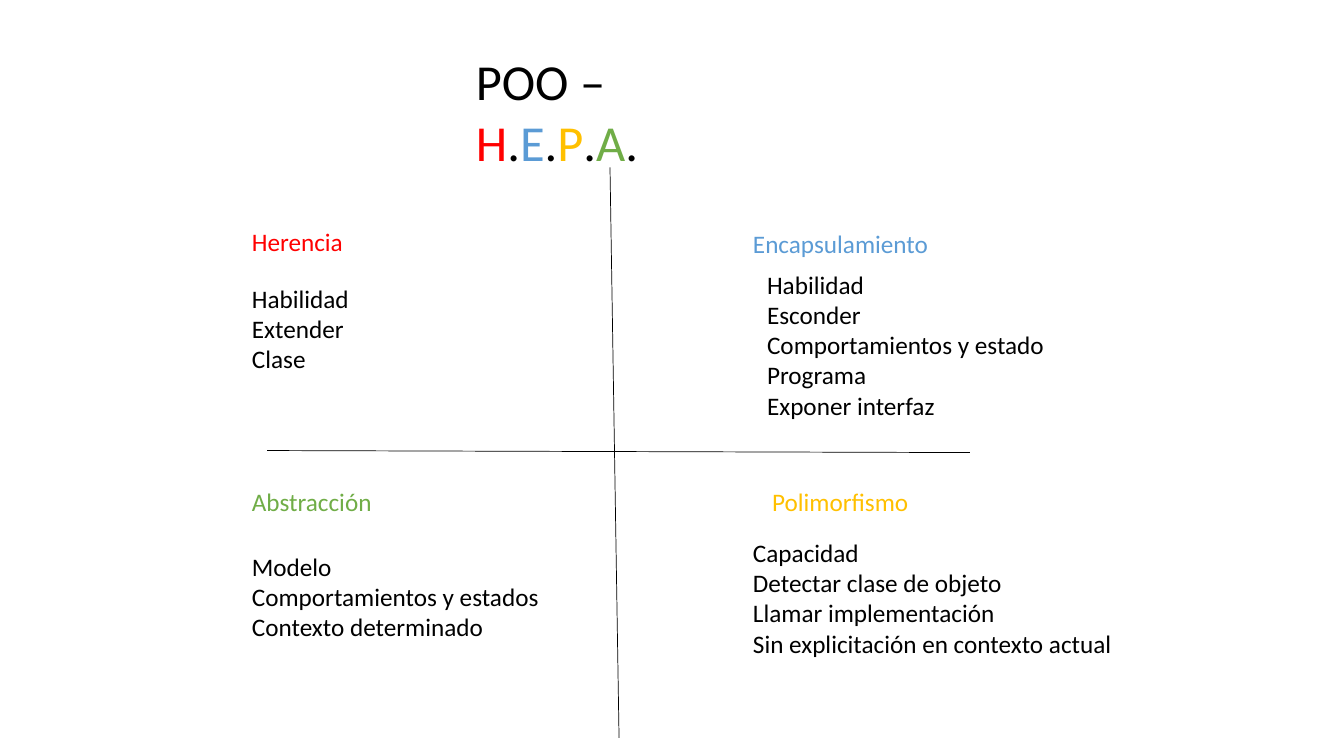
"""Build the POO – H.E.P.A. slide: four object-oriented principles in quadrants."""
import pptx
import pptx.dml.color
import pptx.enum.shapes
import pptx.enum.text
import pptx.oxml
import pptx.util

Inches = pptx.util.Inches
Pt = pptx.util.Pt
RGB = pptx.dml.color.RGBColor.from_string

THEME = {
    "font": "Calibri",
    "title": Pt(36),
    "body": Pt(18),
    "rule": Pt(0.5),
    "ink": RGB("000000"),
    "herencia": RGB("FF0000"),
    "encapsulamiento": RGB("5B9BD5"),
    "polimorfismo": RGB("FFC000"),
    "abstraccion": RGB("70AD47"),
}


def write(paragraph, text, size, colour):
    run = paragraph.add_run()
    run.text = text
    for name, value in {"name": THEME["font"], "size": THEME[size]}.items():
        setattr(run.font, name, value)
    run.font.color.rgb = THEME[colour]


def add_lines(box, lines, colour, wrap=False):
    frame = slide.shapes.add_textbox(*map(Inches, box)).text_frame
    frame.word_wrap = wrap
    frame.auto_size = pptx.enum.text.MSO_AUTO_SIZE.SHAPE_TO_FIT_TEXT
    for index, line in enumerate(lines):
        paragraph = frame.add_paragraph() if index else frame.paragraphs[0]
        write(paragraph, line, "body", colour)


deck = pptx.Presentation()
deck.slide_width, deck.slide_height = Inches(13.33), Inches(7.5)
slide = deck.slides.add_slide(deck.slide_layouts[5])

title = slide.shapes.title
title_place = {"left": 4.62, "top": 0.45, "width": 3.18, "height": 0.71}
for name, value in title_place.items():
    setattr(title, name, Inches(value))
title_format = {
    "word_wrap": False,
    "auto_size": pptx.enum.text.MSO_AUTO_SIZE.NONE,
    "vertical_anchor": pptx.enum.text.MSO_ANCHOR.TOP,
}
for name, value in title_format.items():
    setattr(title.text_frame, name, value)
heading = title.text_frame.paragraphs[0]
heading.alignment = pptx.enum.text.PP_ALIGN.LEFT
write(heading, "POO – ", "title", "ink")
heading.add_line_break()
for principle in ("herencia", "encapsulamiento", "polimorfismo", "abstraccion"):
    write(heading, principle[0].upper(), "title", principle)
    write(heading, ".", "title", "ink")

for ends in ((6.05, 1.66, 6.14, 7.32), (2.65, 4.47, 9.62, 4.49)):
    axis = slide.shapes.add_connector(
        pptx.enum.shapes.MSO_CONNECTOR.STRAIGHT, *map(Inches, ends))
    axis.line.width = THEME["rule"]
    axis.line.color.rgb = THEME["ink"]
    axis.element.spPr.append(pptx.oxml.parse_xml(
        '<a:effectLst xmlns:a="http://schemas.openxmlformats.org/drawingml/2006/main"/>'))

quadrants = [
    ("Herencia", "herencia", (2.4, 2.2, 1.12, 0.4), (2.4, 2.76, 4.69, 1.01), True,
     ["Habilidad", "Extender", "Clase"]),
    ("Encapsulamiento", "encapsulamiento", (7.37, 2.22, 1.96, 0.4),
     (7.51, 2.62, 3.04, 1.62), False,
     ["Habilidad", "Esconder", "Comportamientos y estado", "Programa",
      "Exponer interfaz"]),
    ("Abstracción", "abstraccion", (2.4, 4.78, 1.4, 0.4), (2.4, 5.42, 3.08, 1.01), False,
     ["Modelo", "Comportamientos y estados", "Contexto determinado"]),
    ("Polimorfismo", "polimorfismo", (7.56, 4.78, 1.56, 0.4),
     (7.37, 5.28, 3.8, 1.31), False,
     ["Capacidad", "Detectar clase de objeto", "Llamar implementación",
      "Sin explicitación en contexto actual"]),
]
for name, colour, name_box, ideas_box, wrap, ideas in quadrants:
    add_lines(name_box, [name], colour)
    add_lines(ideas_box, ideas, "ink", wrap)

deck.save("out.pptx")
